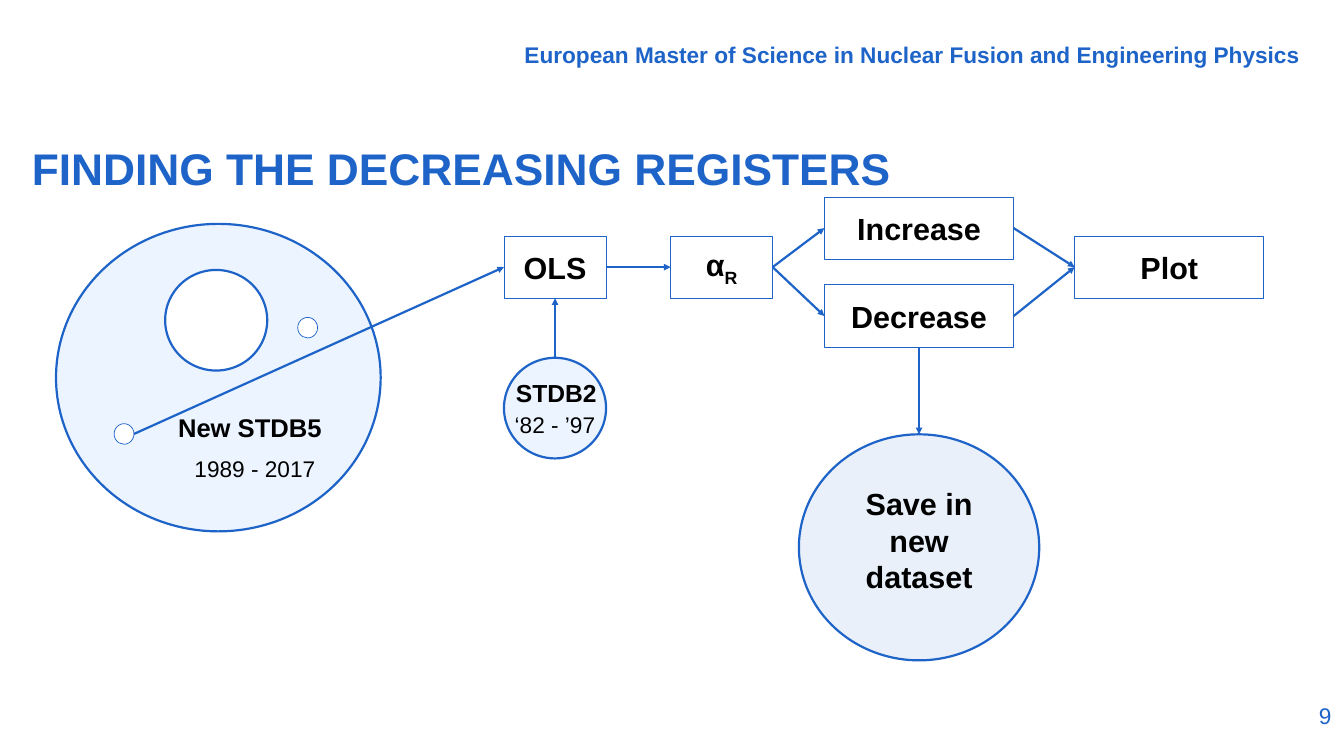
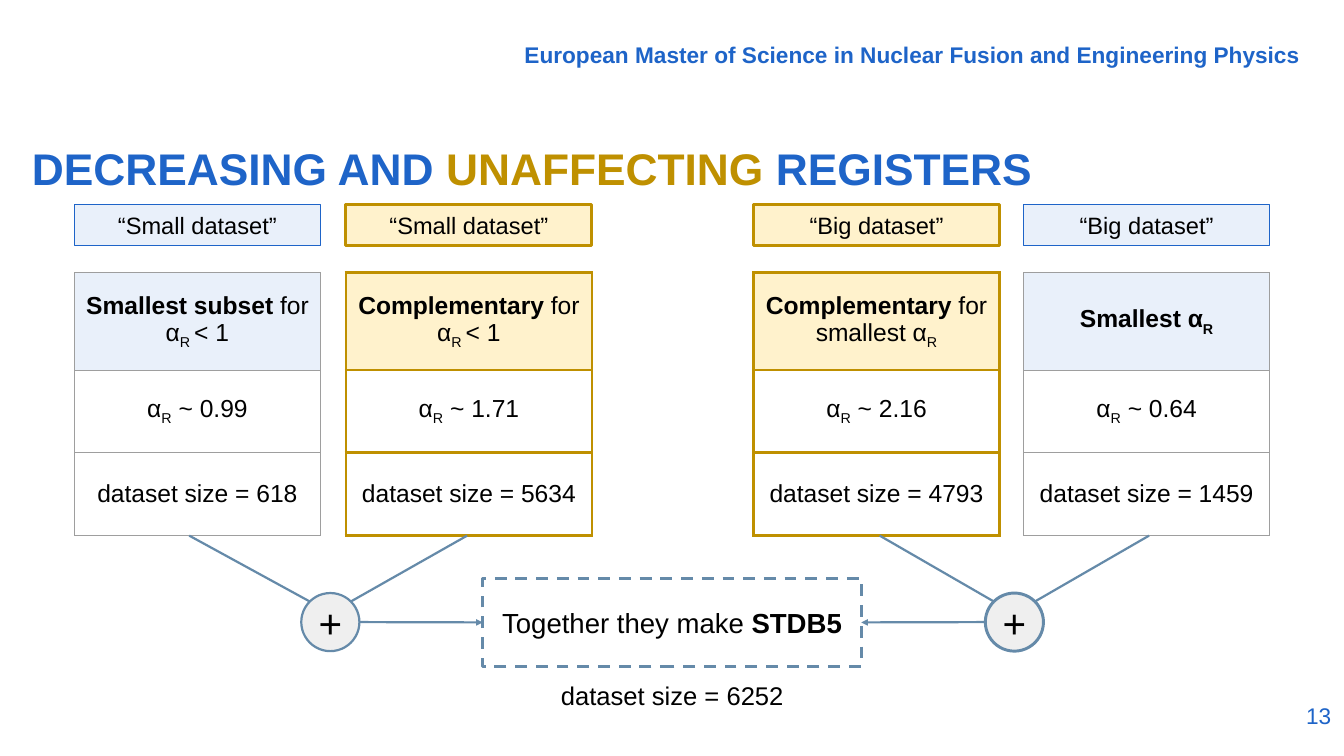
from lxml.etree import SubElement
from pptx import Presentation
from pptx.dml.color import RGBColor
from pptx.enum.dml import MSO_LINE_DASH_STYLE as Dash
from pptx.enum.shapes import MSO_CONNECTOR as Connector
from pptx.enum.shapes import MSO_SHAPE as Shape
from pptx.enum.text import MSO_ANCHOR as Anchor
from pptx.enum.text import PP_ALIGN as Align
from pptx.oxml.ns import qn
from pptx.util import Pt

SCALE = 9144
BLUE = RGBColor(0x1E, 0x64, 0xC8)
SKY = RGBColor(0x9F, 0xC8, 0xFF)
PALE_BLUE = RGBColor(0xE9, 0xF0, 0xFA)
GOLD = RGBColor(0xBF, 0x90, 0x00)
PALE_GOLD = RGBColor(0xFF, 0xF2, 0xCC)
STEEL = RGBColor(0x65, 0x8A, 0xA9)
GREY = RGBColor(0x9E, 0x9E, 0x9E)
PALE_GREY = RGBColor(0xEF, 0xEF, 0xEF)
BLACK = RGBColor(0, 0, 0)
WHITE = RGBColor(0xFF, 0xFF, 0xFF)

TOP, LEFT, BOTTOM, RIGHT = (0.5, 0), (0, 0.5), (0.5, 1), (1, 0.5)
UPPER_LEFT, UPPER_RIGHT = (0.146, 0.146), (0.854, 0.146)


def px(value):
    return round(value * SCALE)


def part(text, **style):
    return text, style


def sub(text, **style):
    return part(text, baseline=-25000, **style)


def write(frame, text, size=25, color=BLACK, bold=False, align=Align.CENTER, spacing=None):
    paragraph = frame.paragraphs[0]
    paragraph.alignment = align
    if spacing:
        paragraph.line_spacing = spacing
    parts = [part(text)] if isinstance(text, str) else text
    for words, style in parts:
        run = paragraph.add_run()
        run.text = words
        run.font.name = "Arial"
        run.font.size = Pt(size)
        run.font.bold = style.get("bold", bold)
        run.font.color.rgb = style.get("color", color)
        if "baseline" in style:
            run._r.get_or_add_rPr().set("baseline", str(style["baseline"]))


def set_margins(frame, side=10, top=10, bottom=10):
    frame.margin_left = frame.margin_right = px(side)
    frame.margin_top, frame.margin_bottom = px(top), px(bottom)


def point(shape, site):
    return (
        (shape.left + shape.width * site[0]) / SCALE,
        (shape.top + shape.height * site[1]) / SCALE,
    )


class Deck:
    def __init__(self, width, height):
        self.presentation = Presentation()
        self.presentation.slide_width = px(width)
        self.presentation.slide_height = px(height)
        self.slide = None

    def new_slide(self, title, number):
        self.slide = self.presentation.slides.add_slide(self.presentation.slide_layouts[6])
        self.text(1774, 985, 114, 82, str(number), size=23, color=BLUE,
                  align=Align.RIGHT, anchor=Anchor.TOP, inset=5)
        self.text(480, 43, 1365, 59,
                  "European Master of Science in Nuclear Fusion and Engineering Physics",
                  size=23, color=BLUE, bold=True, align=Align.RIGHT, spacing=1.21, inset=5)
        self.text(35, 173, 1810, 120, title, size=45, color=BLUE, bold=True,
                  align=Align.LEFT, anchor=Anchor.TOP, spacing=1.21)

    def text(self, left, top, width, height, text, anchor=Anchor.MIDDLE, inset=10, **style):
        box = self.slide.shapes.add_textbox(px(left), px(top), px(width), px(height))
        frame = box.text_frame
        frame.word_wrap = True
        frame.vertical_anchor = anchor
        set_margins(frame, top=inset, bottom=inset)
        write(frame, text, **style)

    def shape(self, kind, left, top, width, height, text=None, fill=WHITE, line=BLUE,
              weight=0.75, dash=None, alpha=None, bottom=10, **style):
        shape = self.slide.shapes.add_shape(kind, px(left), px(top), px(width), px(height))
        shape.shadow.inherit = False
        shape.fill.solid()
        shape.fill.fore_color.rgb = fill
        if alpha:
            color = shape._element.spPr.find(qn("a:solidFill"))[0]
            SubElement(color, qn("a:alpha")).set("val", str(alpha * 1000))
        shape.line.color.rgb = line
        shape.line.width = Pt(weight)
        if dash:
            shape.line.dash_style = dash
        if text:
            frame = shape.text_frame
            frame.word_wrap = True
            frame.vertical_anchor = Anchor.MIDDLE
            set_margins(frame, bottom=bottom)
            write(frame, text, **style)
        return shape

    def step(self, left, top, width, text):
        return self.shape(Shape.RECTANGLE, left, top, width, 88, text, size=31, bold=True)

    def line(self, start, end, color=BLUE, arrow=True):
        connector = self.slide.shapes.add_connector(
            Connector.STRAIGHT, *(px(value) for value in (*start, *end)))
        connector.line.color.rgb = color
        connector.line.width = Pt(2.25)
        properties = connector._element.spPr
        if arrow:
            SubElement(properties.find(qn("a:ln")), qn("a:tailEnd")).set("type", "triangle")
        SubElement(properties, qn("a:effectLst"))

    def table(self, left, top, width, heights, texts, fill, line, weight):
        table = self.slide.shapes.add_table(
            len(texts), 1, px(left), px(top), px(width), px(sum(heights))).table
        table.first_row = table.horz_banding = False
        for index, (height, text) in enumerate(zip(heights, texts)):
            table.rows[index].height = px(height)
            cell = table.cell(index, 0)
            self.border(cell, line, weight)
            if index == 0:
                cell.fill.solid()
                cell.fill.fore_color.rgb = fill
            else:
                cell.fill.background()
            cell.vertical_anchor = Anchor.MIDDLE
            set_margins(cell)
            write(cell.text_frame, text)

    def border(self, cell, color, weight):
        properties = cell._tc.get_or_add_tcPr()
        for side in ("a:lnL", "a:lnR", "a:lnT", "a:lnB"):
            line = SubElement(properties, qn(side))
            line.set("w", str(Pt(weight)))
            fill = SubElement(line, qn("a:solidFill"))
            SubElement(fill, qn("a:srgbClr")).set("val", str(color))


def build_flow(deck):
    deck.new_slide("FINDING THE DECREASING REGISTERS", 9)
    ols = deck.step(711, 333, 144, "OLS")
    ratio = deck.step(946, 333, 144, [part("α"), sub("R")])
    increase = deck.step(1163, 278, 267, "Increase")
    decrease = deck.step(1163, 402, 267, "Decrease")
    plot = deck.step(1516, 333, 267, "Plot")

    old_data = deck.shape(Shape.OVAL, 711, 505, 144, 142, fill=SKY, alpha=19, weight=2.25)
    deck.shape(Shape.OVAL, 79, 316, 458, 434, fill=SKY, alpha=19, weight=2.25)
    deck.shape(Shape.OVAL, 233, 381, 144, 142, weight=2.25)
    deck.shape(Shape.OVAL, 420, 448, 28, 29)
    register = deck.shape(Shape.OVAL, 161, 598, 28, 29)
    saved = deck.shape(Shape.OVAL, 1127, 613, 339, 319, "Save in new dataset",
                       fill=PALE_BLUE, weight=2.25, bottom=31, size=31, bold=True)

    deck.text(181, 572, 283, 64, "New STDB5", size=26, bold=True,
              align=Align.RIGHT, anchor=Anchor.TOP)
    deck.text(245, 636, 210, 51, "1989 - 2017", size=23, align=Align.RIGHT)
    deck.text(718, 523, 174, 62, "STDB2", bold=True, align=Align.LEFT, anchor=Anchor.TOP)
    deck.text(700, 574, 166, 51, "‘82 - ’97", size=23)

    for start, start_site, end, end_site in (
        (register, RIGHT, ols, LEFT),
        (old_data, TOP, ols, BOTTOM),
        (ols, RIGHT, ratio, LEFT),
        (ratio, RIGHT, increase, LEFT),
        (ratio, RIGHT, decrease, LEFT),
        (increase, RIGHT, plot, LEFT),
        (decrease, RIGHT, plot, LEFT),
        (decrease, BOTTOM, saved, TOP),
    ):
        deck.line(point(start, start_site), point(end, end_site))


def build_comparison(deck):
    deck.new_slide([part("DECREASING AND "), part("UNAFFECTING", color=GOLD),
                    part(" REGISTERS")], 13)
    below_one = [part("for α"), sub("R "), part("< 1")]
    blue = PALE_BLUE, BLUE, 0.75, GREY
    gold = PALE_GOLD, GOLD, 3, GOLD
    columns = (
        (105, "Small", [part("Smallest subset ", bold=True), *below_one], "0.99", 618, blue),
        (488, "Small", [part("Complementary ", bold=True), *below_one], "1.71", 5634, gold),
        (1063, "Big", [part("Complementary ", bold=True), part("for smallest α"), sub("R")],
         "2.16", 4793, gold),
        (1444, "Big", [part("Smallest α", bold=True), sub("R", bold=True)],
         "0.64", 1459, blue),
    )
    for left, name, heading, ratio, size, (fill, line, weight, grid) in columns:
        deck.shape(Shape.RECTANGLE, left, 289, 347, 57, f"“{name} dataset”",
                   fill=fill, line=line, weight=weight, size=24)
        rows = [heading, [part("α"), sub("R"), part(f" ~ {ratio}")], f"dataset size = {size}"]
        deck.table(left, 385, 347, (137, 117, 117), rows, fill, grid, weight)

    total = deck.shape(Shape.RECTANGLE, 681, 816, 534, 125,
                       [part("Together they make "), part("STDB5", bold=True)],
                       line=STEEL, weight=3, dash=Dash.DASH, size=28)
    for left, weight, sources, exit_site, entry_site in (
        (425, 2.25, (267, 659), RIGHT, LEFT),
        (1390, 3, (1241, 1621), LEFT, RIGHT),
    ):
        plus = deck.shape(Shape.OVAL, left, 837, 82, 82, "+", fill=PALE_GREY,
                          line=STEEL, weight=weight, size=41)
        for source, site in zip(sources, (UPPER_LEFT, UPPER_RIGHT)):
            deck.line((source, 756), point(plus, site), color=STEEL, arrow=False)
        deck.line(point(plus, exit_site), point(total, entry_site), color=STEEL)
    deck.text(734, 953, 429, 56, "dataset size = 6252", size=26)


def main():
    deck = Deck(1896, 1067)
    build_flow(deck)
    build_comparison(deck)
    deck.presentation.save("out.pptx")


if __name__ == "__main__":
    main()
